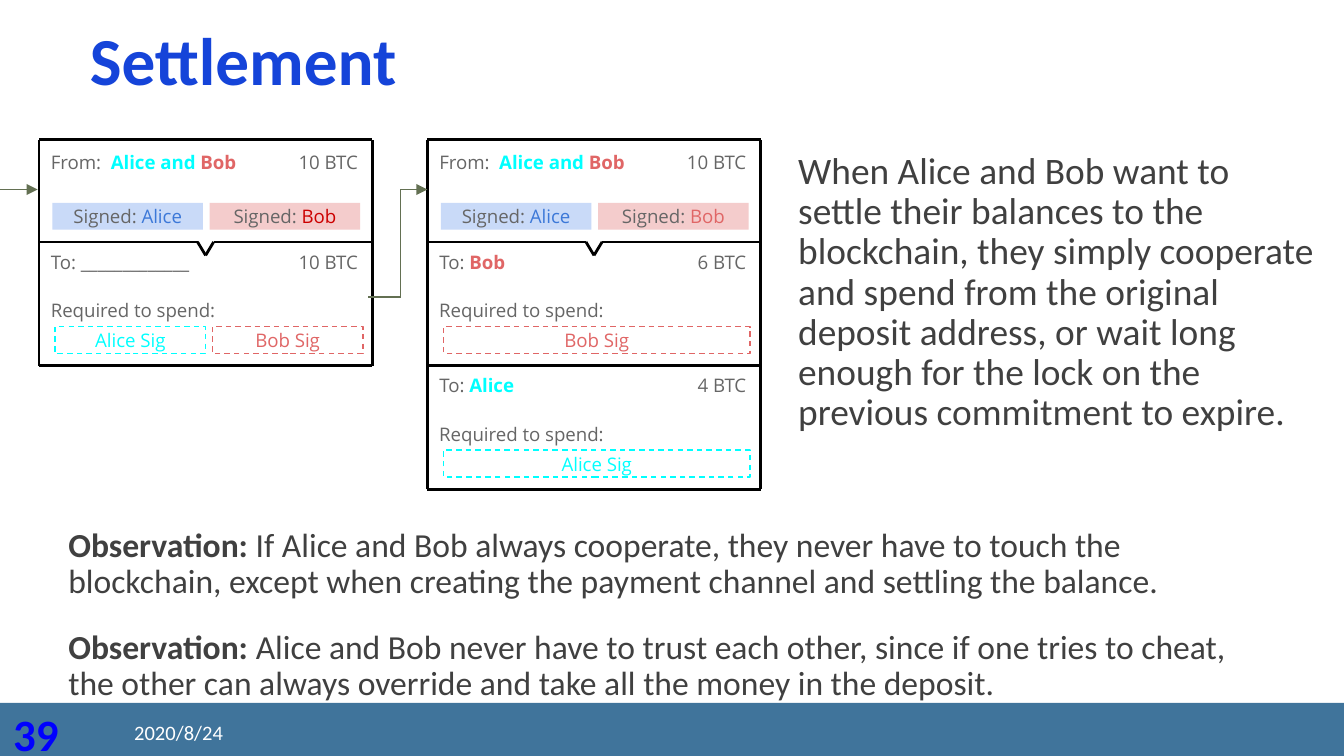
from lxml import etree
from pptx import Presentation
from pptx.dml.color import RGBColor
from pptx.enum.dml import MSO_LINE
from pptx.enum.shapes import MSO_CONNECTOR, MSO_SHAPE
from pptx.enum.text import MSO_ANCHOR, PP_ALIGN
from pptx.oxml.ns import qn
from pptx.util import Inches, Pt

STRAIGHT, RECT, DASH = MSO_CONNECTOR.STRAIGHT, MSO_SHAPE.RECTANGLE, MSO_LINE.DASH
TOP, MIDDLE = MSO_ANCHOR.TOP, MSO_ANCHOR.MIDDLE
LEFT, CENTER, RIGHT = PP_ALIGN.LEFT, PP_ALIGN.CENTER, PP_ALIGN.RIGHT

BLACK = RGBColor(0x00, 0x00, 0x00)
WHITE = RGBColor(0xFF, 0xFF, 0xFF)
GREY = RGBColor(0x66, 0x66, 0x66)
DARK = RGBColor(0x40, 0x40, 0x40)
CYAN = RGBColor(0x00, 0xFF, 0xFF)
CORAL = RGBColor(0xE0, 0x66, 0x66)
RED = RGBColor(0xCC, 0x00, 0x00)
BLUE = RGBColor(0x3C, 0x78, 0xD8)
PALE_BLUE = RGBColor(0xC9, 0xDA, 0xF8)
PALE_RED = RGBColor(0xF4, 0xCC, 0xCC)
TITLE_BLUE = RGBColor(0x15, 0x44, 0xD9)
NUMBER_BLUE = RGBColor(0x00, 0x00, 0xFF)
FOOTER_BLUE = RGBColor(0x40, 0x74, 0x9B)
ARROW_GREEN = RGBColor(0x63, 0x70, 0x52)

BODY_FONT, DIAGRAM_FONT = "Calibri", "Open Sans"
PANEL_WIDTH, PANEL_TOP = 2.48, 1.04
INPUT_HEIGHT, OUTPUT_HEIGHT = 0.76, 0.92


def write(frame, paragraphs, size, font, align=LEFT, anchor=TOP, inset=0.1):
    """Fill a text frame; each paragraph is a list of (text, colour, bold)."""
    frame.word_wrap = True
    frame.vertical_anchor = anchor
    frame.margin_left = frame.margin_right = Inches(0.1)
    frame.margin_top = frame.margin_bottom = Inches(inset)
    for index, spans in enumerate(paragraphs):
        paragraph = frame.add_paragraph() if index else frame.paragraphs[0]
        paragraph.alignment = align
        paragraph.font.size = Pt(size)
        paragraph.font.name = font
        for text, colour, bold in spans:
            run = paragraph.add_run()
            run.text = text
            run.font.color.rgb = colour
            run.font.bold = bold
    return frame.paragraphs


def add_text(slide, box, paragraphs, size=10, font=DIAGRAM_FONT, **layout):
    textbox = slide.shapes.add_textbox(*map(Inches, box))
    return write(textbox.text_frame, paragraphs, size, font, **layout)


def add_box(slide, box, fill=None, outline=None, spans=()):
    rect = slide.shapes.add_shape(RECT, *map(Inches, box))
    rect.shadow.inherit = False
    if fill:
        rect.fill.solid()
        rect.fill.fore_color.rgb = fill
    else:
        rect.fill.background()
    if outline:
        rect.line.color.rgb = outline
        rect.line.width = Pt(0.75)
        rect.line.dash_style = DASH
    else:
        rect.line.fill.background()
    if spans:
        write(rect.text_frame, [spans], 10, DIAGRAM_FONT, CENTER, MIDDLE)


def add_path(slide, points, colour=BLACK, width=1.5, arrow=False):
    """Join the points with straight lines, the last one with an arrowhead if asked."""
    for start, end in zip(points, points[1:]):
        line = slide.shapes.add_connector(STRAIGHT, *map(Inches, (*start, *end)))
        line.line.color.rgb = colour
        line.line.width = Pt(width)
        properties = line._element.spPr
        if arrow and end == points[-1]:
            etree.SubElement(properties.find(qn("a:ln")), qn("a:tailEnd"), type="triangle")
        etree.SubElement(properties, qn("a:effectLst"))


def add_signature(slide, x, y, width, name, colour):
    add_box(slide, (x, y, width, 0.2), outline=colour,
            spans=[(f"{name} Sig", colour, False)])


def add_row(slide, x, y, spans, amount):
    add_text(slide, (x - 0.01, y, 1.62, 0.39), [spans])
    add_text(slide, (x + 1.32, y, 1.15, 0.39), [[(amount, GREY, False)]], align=RIGHT)


def add_input(slide, x, bob_colour):
    """Upper part of a transaction, with the notch that points to its outputs."""
    right, bottom, notch = x + PANEL_WIDTH, PANEL_TOP + INPUT_HEIGHT, x + 1.24
    add_row(slide, x, PANEL_TOP, [
        ("From:  ", GREY, False), ("Alice and ", CYAN, True), ("Bob", CORAL, True)], "10 BTC")
    signers = [("Alice", BLUE, PALE_BLUE), ("Bob", bob_colour, PALE_RED)]
    for index, (name, colour, fill) in enumerate(signers):
        add_box(slide, (x + 0.1 + 1.17 * index, 1.51, 1.12, 0.2), fill=fill,
                spans=[("Signed: ", GREY, False), (name, colour, False)])
    add_path(slide, [(x, bottom), (notch - 0.06, bottom), (notch, bottom + 0.1),
                     (notch + 0.06, bottom), (right, bottom), (right, PANEL_TOP),
                     (x, PANEL_TOP), (x, bottom)])


def add_output(slide, x, index, recipient, amount, signers):
    """One output of a transaction, counted downwards from the input."""
    top = PANEL_TOP + INPUT_HEIGHT + OUTPUT_HEIGHT * index
    right, bottom = x + PANEL_WIDTH, top + OUTPUT_HEIGHT
    add_row(slide, x, top - 0.02, [("To: ", GREY, False), recipient], amount)
    add_text(slide, (x - 0.01, top + 0.34, 1.9, 0.38),
             [[("Required to spend:", GREY, False)]])
    width = 2.28 if len(signers) == 1 else 1.12
    for place, (name, colour) in enumerate(signers):
        add_signature(slide, x + 0.12 + 1.17 * place, top + 0.63, width, name, colour)
    add_path(slide, [(right, top), (right, bottom), (x, bottom), (x, top)])


def add_footer(slide):
    add_box(slide, (0, 5.23, 10, 0.41), fill=FOOTER_BLUE)
    add_text(slide, (0, 5.21, 0.69, 0.4), [[("39", NUMBER_BLUE, True)]],
             24, BODY_FONT, inset=0.05)
    add_text(slide, (0.9, 5.3, 2.03, 0.3), [[("2020/8/24", WHITE, False)]],
             11, BODY_FONT, anchor=MIDDLE, inset=0.05)


def add_prose(slide):
    add_text(slide, (0.57, 0.09, 5, 0.71), [[("Settlement", TITLE_BLUE, True)]],
             36, BODY_FONT, inset=0.05)
    summary = add_text(slide, (5.84, 1.03, 4.09, 2.8), [[(
        "When Alice and Bob want to settle their balances to the blockchain, they simply "
        "cooperate and spend from the original deposit address, or wait long enough for "
        "the lock on the previous commitment to expire.", DARK, False)]], 20, BODY_FONT)
    observations = add_text(slide, (0.41, 3.83, 9.15, 1.42), [
        [("Observation:", DARK, True),
         (" If Alice and Bob always cooperate, they never have to touch the blockchain, "
          "except when creating the payment channel and settling the balance.", DARK, False)],
        [("Observation: ", DARK, True),
         ("Alice and Bob never have to trust each other, since if one tries to cheat, the "
          "other can always override and take all the money in the deposit.", DARK, False)],
    ], 18, BODY_FONT)
    for paragraph in (*summary, *observations):
        paragraph.line_spacing = 0.9
    for paragraph in (summary[0], observations[1]):
        paragraph.space_before = paragraph.space_after = Pt(16)


def main():
    prs = Presentation()
    prs.slide_width = Inches(10)
    prs.slide_height = prs.slide_width * 9 // 16
    slide = prs.slides.add_slide(prs.slide_layouts[6])
    add_footer(slide)

    # Deposit transaction
    deposit_x = 0.29
    add_input(slide, deposit_x, RED)
    add_output(slide, deposit_x, 0, ("_____________", GREY, False), "10 BTC",
               [("Alice", CYAN), ("Bob", CORAL)])

    # Settlement transaction
    settlement_x = 3.18
    add_input(slide, settlement_x, CORAL)
    add_output(slide, settlement_x, 0, ("Bob", CORAL, True), "6 BTC", [("Bob", CORAL)])
    add_output(slide, settlement_x, 1, ("Alice", CYAN, True), "4 BTC", [("Alice", CYAN)])

    # Arrows into each transaction
    add_path(slide, [(-0.09, 1.41), (0.28, 1.41)], ARROW_GREEN, 0.75, arrow=True)
    add_path(slide, [(2.74, 2.21), (2.98, 2.21), (2.98, 1.41), (3.18, 1.41)],
             ARROW_GREEN, 0.75, arrow=True)

    # Title and explanation
    add_prose(slide)
    prs.save("out.pptx")


if __name__ == "__main__":
    main()
